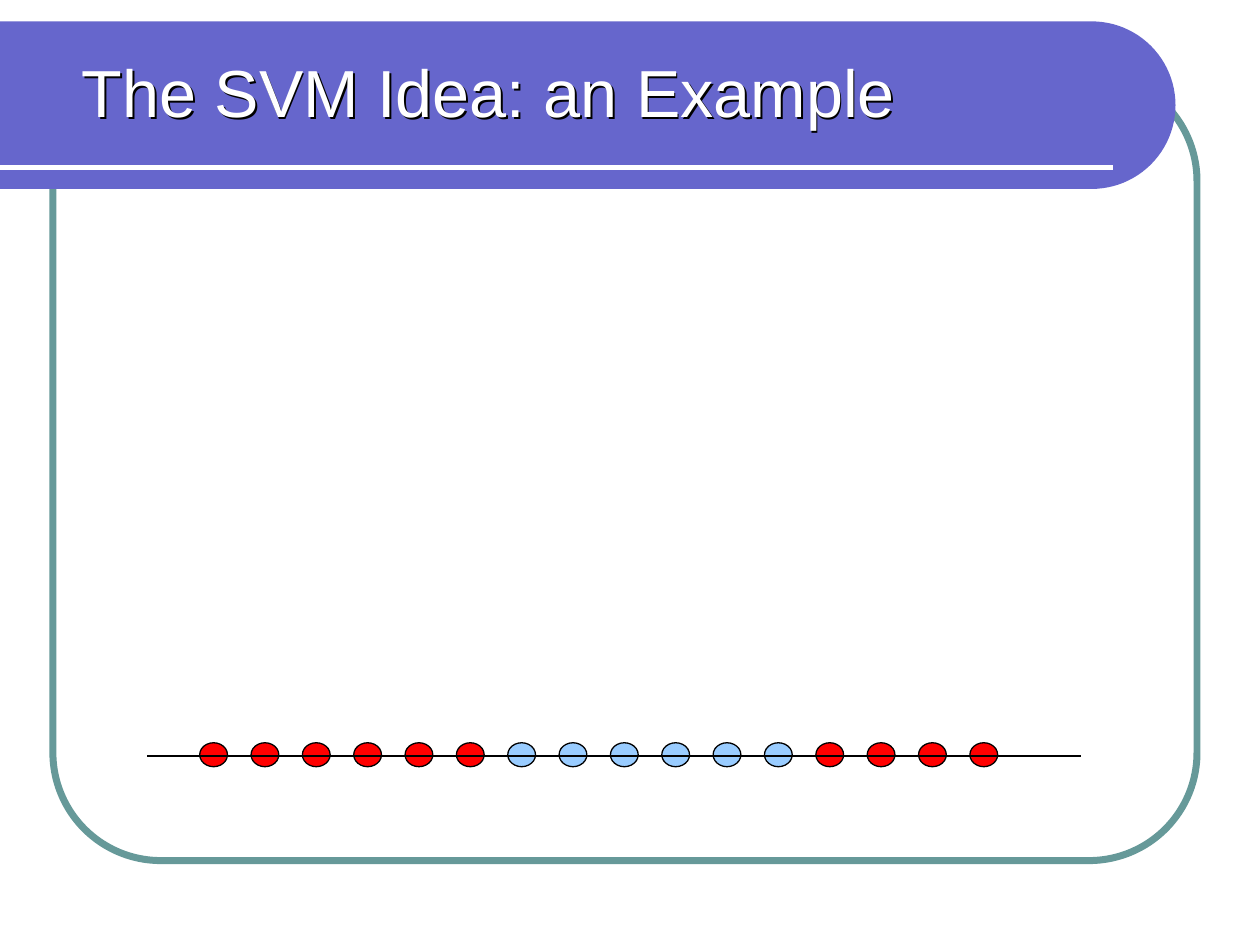
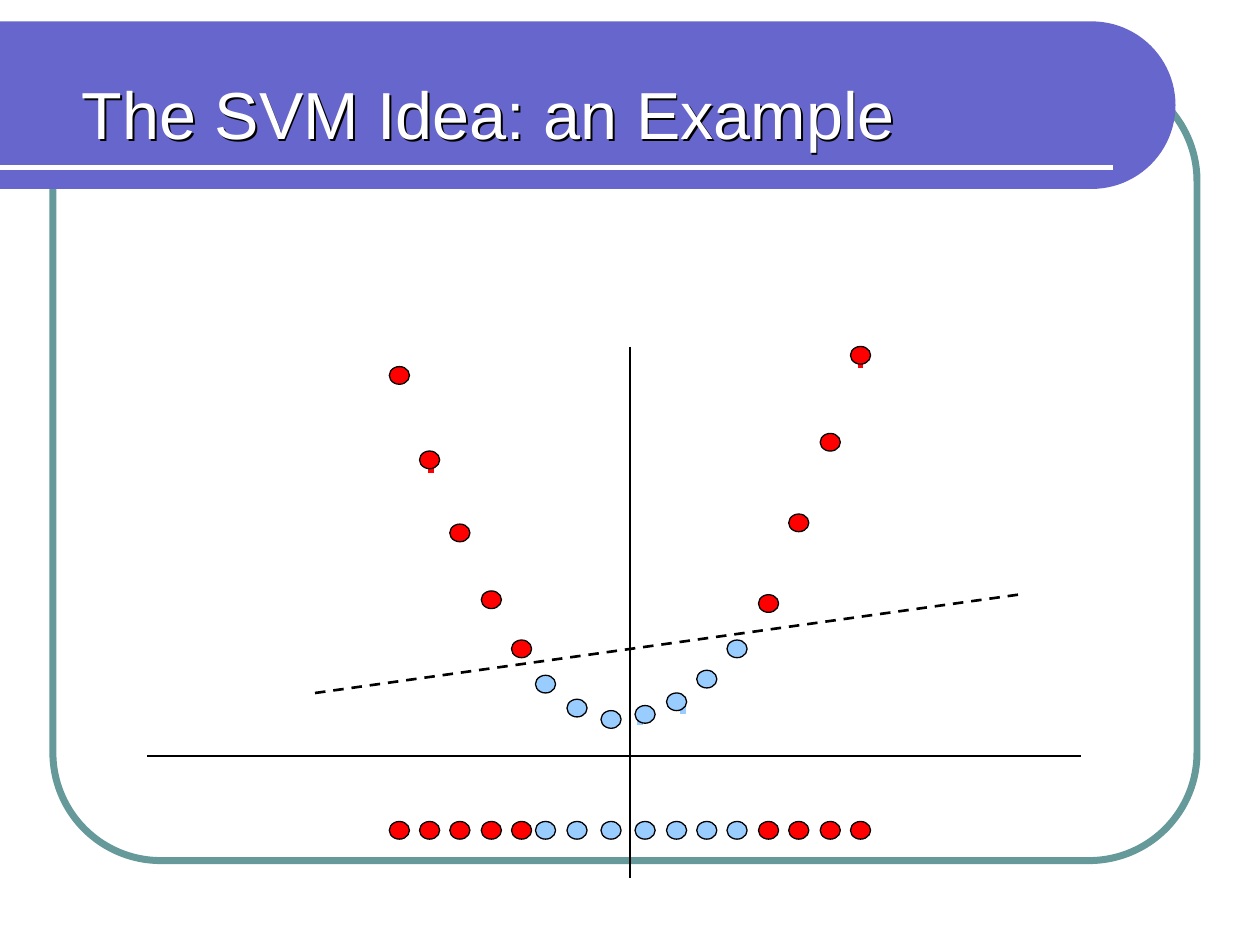
import math
from lxml import etree
from pptx import Presentation
from pptx import util as u
from pptx.dml import color
from pptx.enum import dml, shapes, text
from pptx.oxml import ns

PX = 9144
FONT = "Arial"
WHITE, BLACK = "FFFFFF", "000000"
BAND, FRAME = "6666CC", "669999"
RED, BLUE = "FF0000", "99CCFF"


def rgb(value):
    return color.RGBColor.from_string(value)


def px(value):
    return u.Emu(round(value * PX))


class Deck:
    def __init__(self):
        self.prs = Presentation()
        self.prs.slide_width = px(1000)
        self.prs.slide_height = px(750)
        self.slide = None

    def new_slide(self, title, title_top):
        self.slide = self.prs.slides.add_slide(self.prs.slide_layouts[5])
        self.frame()
        self.band()
        self.line((0, 133), (883, 133), WHITE, 3)
        self.title(title, title_top)

    def style(self, shape, fill=None, line=None, width=0.75):
        shape.shadow.inherit = False
        if fill:
            shape.fill.solid()
            shape.fill.fore_color.rgb = rgb(fill)
        else:
            shape.fill.background()
        if line:
            shape.line.color.rgb = rgb(line)
            shape.line.width = u.Pt(width)
        else:
            shape.line.fill.background()

    def frame(self):
        outline = self.slide.shapes.add_shape(
            shapes.MSO_SHAPE.ROUNDED_RECTANGLE, px(42), px(58), px(908), px(625))
        outline.adjustments[0] = 0.137
        self.style(outline, line=FRAME, width=4)

    def band(self, top=17, bottom=150, right=933, steps=48):
        radius = (bottom - top) / 2
        angles = [math.pi * (i / steps - 0.5) for i in range(steps + 1)]
        arc = [(px(right - radius + radius * math.cos(a)),
                px(top + radius + radius * math.sin(a))) for a in angles]
        builder = self.slide.shapes.build_freeform(0, px(top), scale=1.0)
        builder.add_line_segments(arc + [(0, px(bottom))], close=True)
        self.style(builder.convert_to_shape(), fill=BAND)

    def title(self, wording, top):
        title = self.slide.shapes.title
        self.slide.shapes.element.append(title.element)
        title.left, title.top, title.width, title.height = map(px, (55, top, 889, 79))
        self.style(title)
        self.text_shadow(title)
        frame = title.text_frame
        frame.auto_size = text.MSO_AUTO_SIZE.NONE
        frame.word_wrap = True
        frame.vertical_anchor = text.MSO_ANCHOR.MIDDLE
        frame.margin_left = frame.margin_right = px(10)
        frame.margin_top = frame.margin_bottom = px(5)
        paragraph = frame.paragraphs[0]
        paragraph.alignment = text.PP_ALIGN.LEFT
        run = paragraph.add_run()
        run.text = wording
        run.font.size = u.Pt(38)
        run.font.color.rgb = rgb(WHITE)
        run.font.name = FONT

    def text_shadow(self, shape):
        effects = shape.element.spPr.find(ns.qn("a:effectLst"))
        shadow = etree.SubElement(effects, ns.qn("a:outerShdw"),
                                  dist="17961", dir="2700000")
        etree.SubElement(shadow, ns.qn("a:srgbClr"), val=BLACK)

    def line(self, start, end, stroke=BLACK, width=0.75, dash=None):
        line = self.slide.shapes.add_connector(
            shapes.MSO_CONNECTOR.STRAIGHT, *map(px, start + end))
        line.line.color.rgb = rgb(stroke)
        line.line.width = u.Pt(width)
        if dash:
            line.line.dash_style = dash
        etree.SubElement(line.element.spPr, ns.qn("a:effectLst"))

    def dot(self, x, y, fill, width, height):
        dot = self.slide.shapes.add_shape(
            shapes.MSO_SHAPE.OVAL, px(x - width / 2), px(y - height / 2),
            px(width), px(height))
        self.style(dot, fill, BLACK)

    def save(self):
        self.prs.save("out.pptx")


HEADING = "The SVM Idea: an Example"
AXIS = (117, 600), (858, 600)


def one_dimension(deck):
    deck.new_slide(HEADING, 33)
    classes = [RED] * 6 + [BLUE] * 6 + [RED] * 4
    for i, fill in enumerate(classes):
        deck.dot(169.5 + i * 40.75, 599, fill, 22, 19)
    deck.line(*AXIS)


def two_dimensions(deck):
    deck.new_slide(HEADING, 50)
    red_ticks = [(683, 292), (658, 358), (417, 517), (342, 375)]
    blue_ticks = [(433, 550), (508, 575), (542, 567), (483, 575), (458, 567)]
    for fill, ticks in ((RED, red_ticks), (BLUE, blue_ticks)):
        for x, y in ticks:
            deck.line((x, y), (x, y - 8), fill, 3)
    deck.line((350, 550), (350, 550))
    deck.line(*AXIS)

    samples = [317, 341, 365, 390, 414, 433, 458, 485,
               512, 537, 561, 585, 610, 634, 659, 683]
    mapped = [298, 365, 423, 476, 515, 543, 562, 571,
              567, 557, 539, 515, 479, 415, 351, 282]
    classes = [RED] * 5 + [BLUE] * 7 + [RED] * 4
    for heights in ([659] * len(samples), mapped):
        for x, y, fill in zip(samples, heights, classes):
            deck.dot(x, y, fill, 16, 14)

    deck.line((500, 275), (500, 697), width=1)
    deck.line((250, 550), (808, 472), width=1.5, dash=dml.MSO_LINE.DASH)


def main():
    deck = Deck()
    one_dimension(deck)
    two_dimensions(deck)
    deck.save()


if __name__ == "__main__":
    main()
